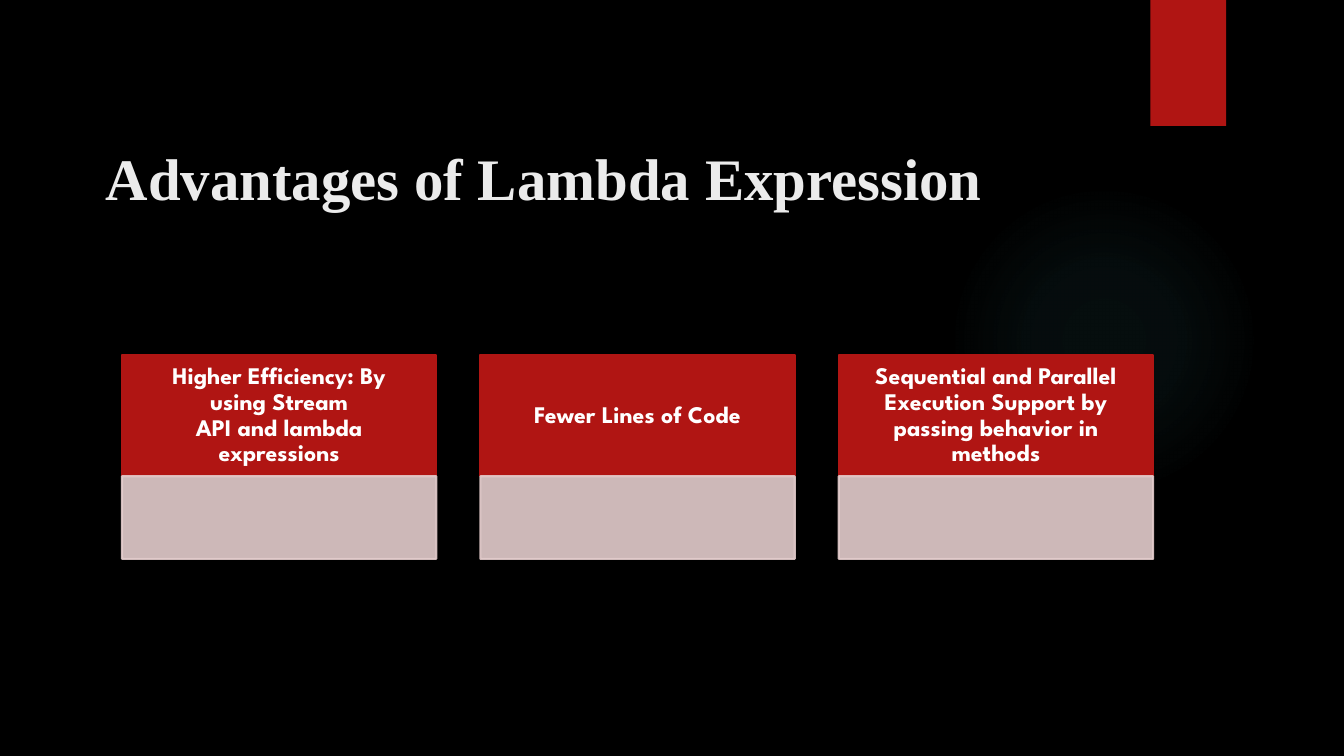
"""Build the slide on the advantages of lambda expressions."""
from dataclasses import dataclass

from lxml import etree
from pptx import Presentation, oxml, util as u
from pptx.dml import color
from pptx.enum import shapes, text
from pptx.oxml import ns


@dataclass(frozen=True)
class Theme:
    back: str = "000000"
    red: str = "B01513"
    pale: str = "E4CCCC"
    glow: str = "50B9C1"
    title: str = "EBEBEB"
    label: str = "FFFFFF"
    serif: str = "Times New Roman"
    sans: str = "League Spartan"
    large: float = 42
    small: float = 17
    edge: float = 1.5


@dataclass(frozen=True)
class Box:
    left: float
    top: float
    width: float
    height: float

    def size(self) -> tuple:
        return tuple(u.Pt(n) for n in (self.left, self.top, self.width, self.height))


THEME = Theme()
RECT, OVAL = shapes.MSO_SHAPE.RECTANGLE, shapes.MSO_SHAPE.OVAL
LEFT, PITCH, WIDTH = 87.1, 256, 224.6
TOP, HEAD, BODY = 253.5, 86.7, 59
LABELS = (
    "Higher Efficiency: By using\u00a0Stream API\u00a0and\u00a0lambda expressions",
    "Fewer Lines of Code",
    "Sequential and Parallel Execution Support by passing behavior in methods",
)


def rgb(code: str) -> color.RGBColor:
    return color.RGBColor.from_string(code)


def block(slide, box: Box, fill: str, edge: float = 0, kind=RECT):
    """Draw a filled shape, outlined in its own colour if edge is set."""
    shape = slide.shapes.add_shape(kind, *box.size())
    shape.shadow.inherit = False
    shape.fill.solid()
    shape.fill.fore_color.rgb = rgb(fill)
    if edge:
        shape.line.color.rgb = rgb(fill)
        shape.line.width = u.Pt(edge)
    else:
        shape.line.fill.background()
    return shape


def fade(shape, share: int) -> None:
    """Make fill and line partly see-through."""
    for tint in shape.element.spPr.iter(ns.qn("a:srgbClr")):
        etree.SubElement(tint, ns.qn("a:alpha"), val=str(share * 1000))


def glow(slide, box: Box) -> None:
    """Draw a soft round light that fades outwards."""
    shape = block(slide, box, THEME.glow, kind=OVAL)
    stops = "".join(
        f'<a:gs pos="{pos * 1000}"><a:srgbClr val="{THEME.glow}">'
        f'<a:alpha val="{share * 1000}"/></a:srgbClr></a:gs>'
        for pos, share in ((0, 7), (36, 6), (69, 0))
    )
    grade = oxml.parse_xml(
        f'<a:gradFill {ns.nsdecls("a")}><a:gsLst>{stops}</a:gsLst><a:path path="circle">'
        '<a:fillToRect l="50000" t="50000" r="50000" b="50000"/></a:path></a:gradFill>'
    )
    props = shape.element.spPr
    props.replace(props.find(ns.qn("a:solidFill")), grade)


def write(shape, words: str, font: str, size: float, tint: str, align, anchor,
          side: float, top: float, base: float):
    """Put one bold paragraph into a shape and return it."""
    frame = shape.text_frame
    frame.word_wrap = True
    frame.vertical_anchor = anchor
    frame.margin_left = frame.margin_right = u.Pt(side)
    frame.margin_top, frame.margin_bottom = u.Pt(top), u.Pt(base)
    para = frame.paragraphs[0]
    para.text = words
    para.alignment = align
    para.font.name, para.font.size, para.font.bold = font, u.Pt(size), True
    para.font.color.rgb = rgb(tint)
    return para


def card(slide, left: float, label: str) -> None:
    """Draw a red heading above a pale panel."""
    head = block(slide, Box(left, TOP, WIDTH, HEAD), THEME.red, THEME.edge)
    para = write(head, label, THEME.sans, THEME.small, THEME.label,
                 text.PP_ALIGN.CENTER, text.MSO_ANCHOR.MIDDLE, 9.4, 5.8, 5.8)
    para.line_spacing = 0.9
    fade(block(slide, Box(left, TOP + HEAD, WIDTH, BODY), THEME.pale, THEME.edge), 90)


def main() -> None:
    deck = Presentation()
    deck.slide_width, deck.slide_height = u.Pt(960), u.Pt(540)
    slide = deck.slides.add_slide(deck.slide_layouts[6])
    slide.background.fill.solid()
    slide.background.fill.fore_color.rgb = rgb(THEME.back)
    glow(slide, Box(677.5, 131.8, 221.8, 221.8))
    block(slide, Box(821.8, 0, 54, 90), THEME.red)
    title = slide.shapes.add_textbox(*Box(68.4, 92.2, 740.9, 110.2).size())
    write(title, "Advantages of Lambda Expression", THEME.serif, THEME.large, THEME.title,
          text.PP_ALIGN.LEFT, text.MSO_ANCHOR.TOP, 7.2, 9, 3.6)
    for col, label in enumerate(LABELS):
        card(slide, LEFT + col * PITCH, label)
    deck.save("out.pptx")


main()
